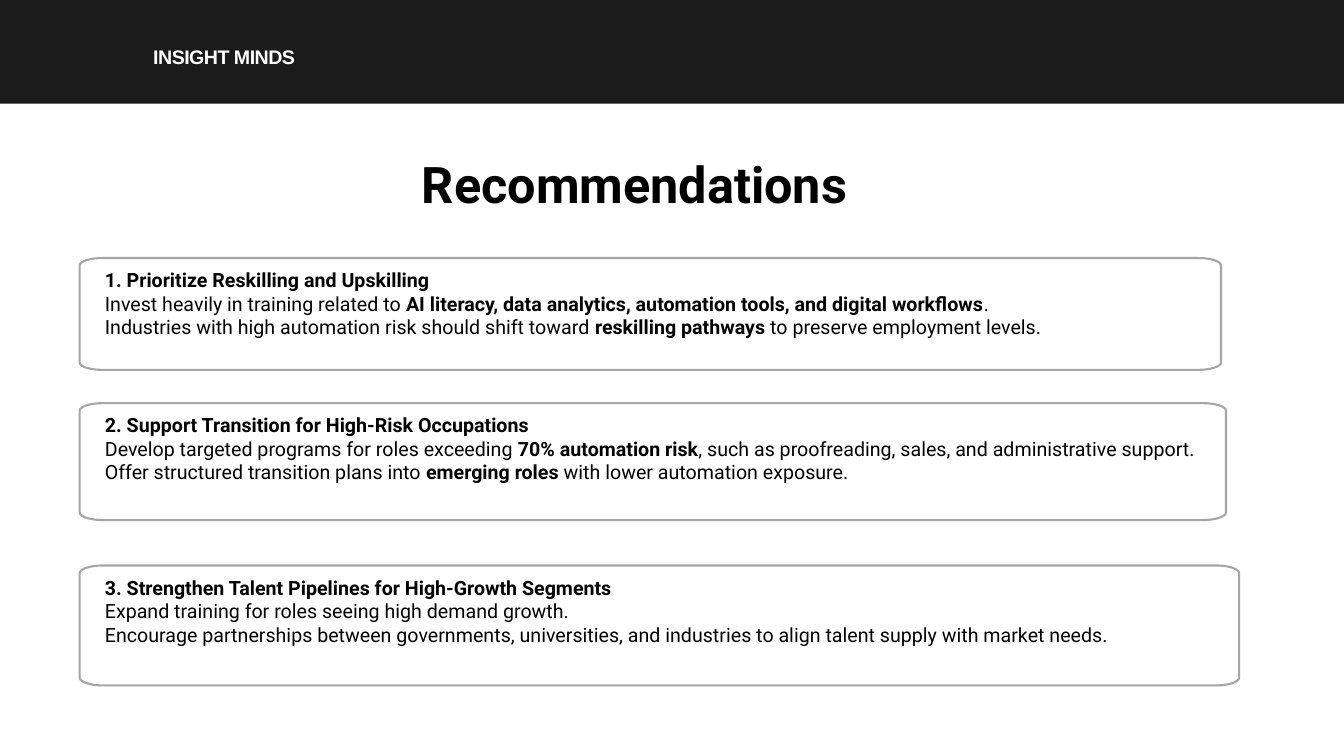
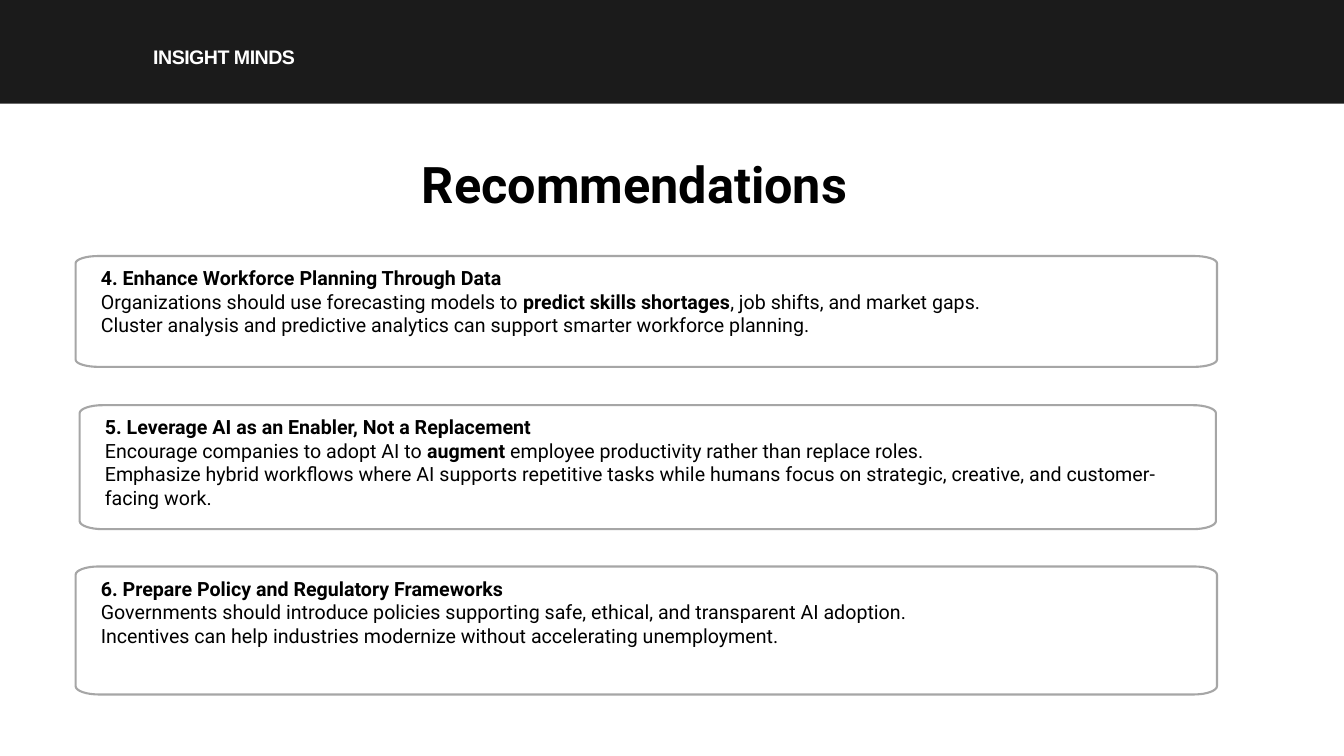
"""Build two slides of numbered recommendations under a dark brand band."""
import math

from pptx import Presentation
from pptx.dml.color import RGBColor
from pptx.enum.shapes import MSO_SHAPE
from pptx.enum.text import MSO_ANCHOR, MSO_AUTO_SIZE, PP_ALIGN
from pptx.util import Pt

PX = 9144
WIDTH, HEIGHT = 1333, 750
TITLE_ONLY = 5
RECTANGLE = MSO_SHAPE.RECTANGLE
TOP, NO_FIT = MSO_ANCHOR.TOP, MSO_AUTO_SIZE.NONE
LEFT, CENTER = PP_ALIGN.LEFT, PP_ALIGN.CENTER
INK, PAPER, BAND, OUTLINE = "000000", "FFFFFF", "1B1B1B", "A6A6A6"
CORNER_STEPS = 8

SLIDES = [
    [
        ((79, 256, 1132, 111), [
            "**1. Prioritize Reskilling and Upskilling**",
            "Invest heavily in training related to **AI literacy, data analytics, "
            "automation tools, and digital workflows**.",
            "Industries with high automation risk should shift toward "
            "**reskilling pathways** to preserve employment levels.",
        ]),
        ((79, 400, 1137, 116), [
            "**2. Support Transition for High-Risk Occupations**",
            "Develop targeted programs for roles exceeding **70% automation risk**, "
            "such as proofreading, sales, and administrative support.",
            "Offer structured transition plans into **emerging roles** "
            "with lower automation exposure.",
        ]),
        ((79, 561, 1150, 119), [
            "**3. Strengthen Talent Pipelines for High-Growth Segments**",
            "Expand training for roles seeing high demand growth.",
            "Encourage partnerships between governments, universities, and industries "
            "to align talent supply with market needs.",
        ]),
    ],
    [
        ((75, 254, 1132, 110), [
            "**4. Enhance Workforce Planning Through Data**",
            "Organizations should use forecasting models to "
            "**predict skills shortages**, job shifts, and market gaps.",
            "Cluster analysis and predictive analytics can support "
            "smarter workforce planning.",
        ]),
        ((79, 402, 1127, 123), [
            "**5. Leverage AI as an Enabler, Not a Replacement**",
            "Encourage companies to adopt AI to **augment** employee productivity "
            "rather than replace roles.",
            "Emphasize hybrid workflows where AI supports repetitive tasks while humans "
            "focus on strategic, creative, and customer-facing work.",
        ]),
        ((75, 562, 1132, 127), [
            "**6. Prepare Policy and Regulatory Frameworks**",
            "Governments should introduce policies supporting safe, ethical, "
            "and transparent AI adoption.",
            "Incentives can help industries modernize without "
            "accelerating unemployment.",
        ]),
    ],
]


def emu(*lengths):
    """Turn px lengths into EMU."""
    return [round(n * PX) for n in lengths]


def rgb(value):
    """Turn a hex string into a colour."""
    return RGBColor.from_string(value)


def write(sp, lines, size=14, font="Roboto", color=INK, align=LEFT,
          inset=(0, 0), leading=None, tracking=None):
    """Fill a shape with paragraphs, with **marked** parts in bold."""
    tf = sp.text_frame
    tf.word_wrap, tf.auto_size, tf.vertical_anchor = True, NO_FIT, TOP
    tf.margin_left = tf.margin_right = emu(inset[0])[0]
    tf.margin_top = tf.margin_bottom = emu(inset[1])[0]
    for i, line in enumerate(lines):
        p = tf.add_paragraph() if i else tf.paragraphs[0]
        p.alignment = align
        if leading:
            p.line_spacing = Pt(leading)
        for j, part in enumerate(line.split("**")):
            if not part:
                continue
            r = p.add_run()
            r.text = part
            r.font.size, r.font.name = Pt(size), font
            r.font.bold = j % 2 == 1
            r.font.color.rgb = rgb(color)
            if tracking:
                r._r.get_or_add_rPr().set("spc", str(round(tracking * 100)))


def add_text(s, box, lines, **style):
    """Add a text box with formatted paragraphs."""
    write(s.shapes.add_textbox(*emu(*box)), lines, **style)


def add_band(s, x, y, w, h):
    """Draw the dark band with the brand name."""
    sp = s.shapes.add_shape(RECTANGLE, *emu(x, y, w, h))
    sp.shadow.inherit = False
    sp.fill.solid()
    sp.fill.fore_color.rgb = rgb(BAND)
    sp.line.fill.background()
    add_text(s, (x + 152, y + 41, 177, 26), ["**INSIGHT MINDS**"], font="Arial",
             color=PAPER, leading=19.6, tracking=-0.4)


def place_title(s, x, y, w, h):
    """Move and format the title placeholder."""
    title = s.shapes.title
    title.left, title.top, title.width, title.height = emu(x, y, w, h)
    write(title, ["**Recommendations**"], size=36, align=CENTER, inset=(10, 5))


def card_outline(x, y, w, h):
    """Return the points of a box with flat elliptical corners."""
    rx, ry = 23, h * 0.065
    centres = [(x + w - rx, y + h - ry), (x + rx, y + h - ry),
               (x + rx, y + ry), (x + w - rx, y + ry)]
    points = []
    for quarter, (cx, cy) in enumerate(centres):
        for step in range(CORNER_STEPS + 1):
            angle = (quarter + step / CORNER_STEPS) * math.pi / 2
            points.append(emu(cx + rx * math.cos(angle), cy + ry * math.sin(angle)))
    return points


def add_card(s, x, y, w, h, lines):
    """Draw one outlined recommendation with its text."""
    start, *rest = card_outline(x, y, w, h)
    builder = s.shapes.build_freeform(*start)
    builder.add_line_segments(rest, close=True)
    sp = builder.convert_to_shape()
    sp.shadow.inherit = False
    sp.fill.solid()
    sp.fill.fore_color.rgb = rgb(PAPER)
    sp.line.color.rgb = rgb(OUTLINE)
    sp.line.width = Pt(1.5)
    add_text(s, (x + 25, y + 10, w - 35, 60), lines)


def add_recommendations(prs, cards):
    """Add a slide with band, title and cards."""
    s = prs.slides.add_slide(prs.slide_layouts[TITLE_ONLY])
    add_band(s, 0, 0, WIDTH, 103)
    place_title(s, 385, 147, 489, 71)
    for box, lines in cards:
        add_card(s, *box, lines)


def main():
    """Build and save the presentation."""
    prs = Presentation()
    prs.slide_width, prs.slide_height = emu(WIDTH, HEIGHT)
    for cards in SLIDES:
        add_recommendations(prs, cards)
    prs.save("out.pptx")


if __name__ == "__main__":
    main()
